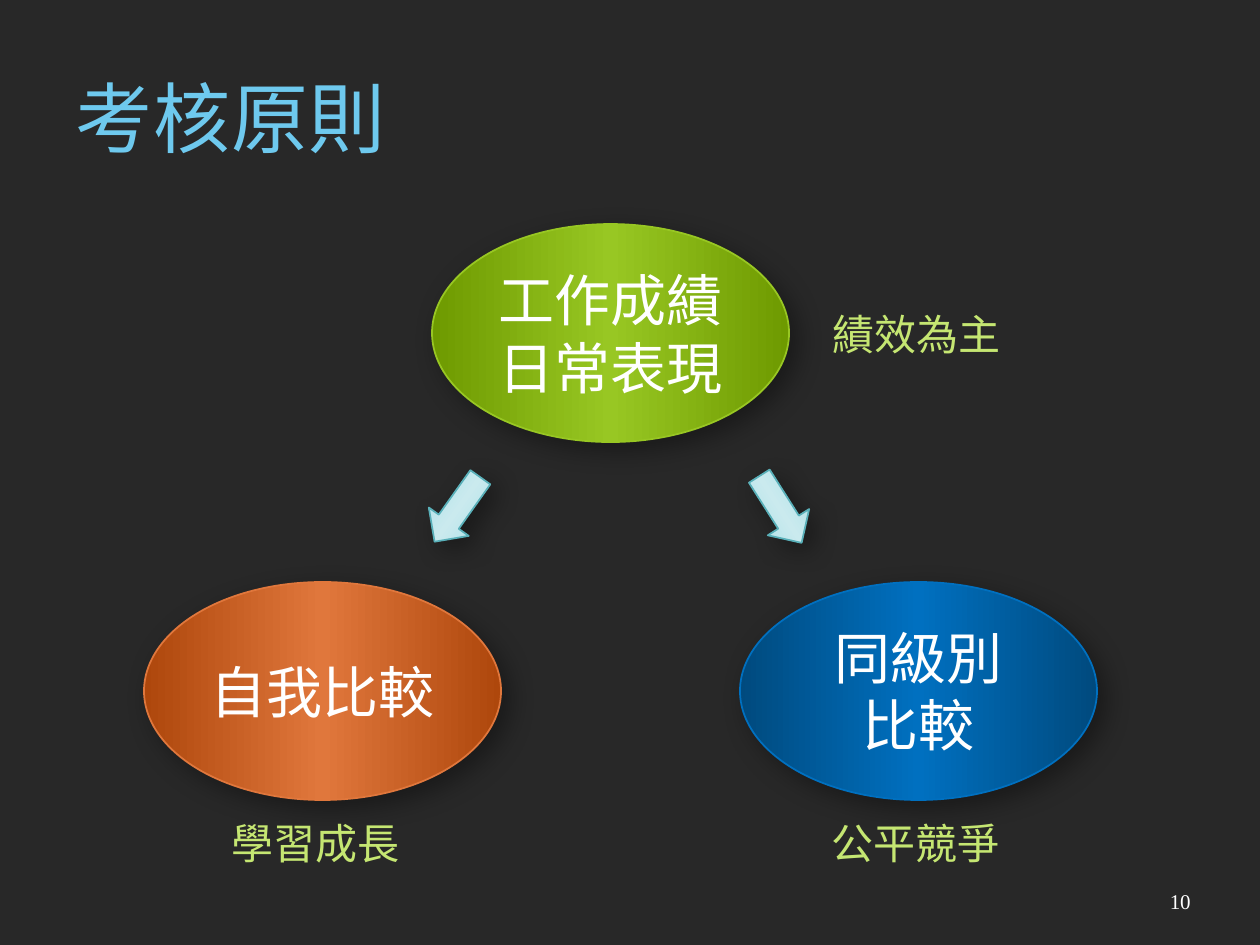
from copy import deepcopy
from dataclasses import dataclass

from lxml import etree
from pptx import Presentation
from pptx import util as u
from pptx.dml.color import RGBColor
from pptx.enum import shapes, text
from pptx.oxml.ns import qn

EMU_PER_PX = 914400 / 126
CJK_FONT = "Noto Sans CJK SC"
NUMBER_FONT = "Times New Roman"
WHITE = "FFFFFF"
LABEL_GREEN = "C5E672"
OVAL_SIZE = (357, 218)
ARROW_SIZE = (49, 79)
LABEL_SIZE = (195, 63)
ARROW_TOP = 470
LOWER_OVAL_TOP = 582
LOWER_LABEL_TOP = 811


@dataclass
class Oval:
    left: int
    top: int
    lines: list[str]
    edge: str
    middle: str


@dataclass
class Arrow:
    left: int
    rotation: float


@dataclass
class Label:
    left: int
    top: int
    wording: str


OVALS = [
    Oval(432, 224, ["工作成績日常表現"], "6E9A00", "98C723"),
    Oval(144, LOWER_OVAL_TOP, ["自我比較"], "AE470C", "E0773C"),
    Oval(740, LOWER_OVAL_TOP, ["同級別", "比較"], "004A7E", "0070C0"),
]
ARROWS = [Arrow(433, 35.4), Arrow(756, 327.6)]
LABELS = [
    Label(219, LOWER_LABEL_TOP, "學習成長"),
    Label(819, LOWER_LABEL_TOP, "公平競爭"),
    Label(820, 302, "績效為主"),
]


def px(length: int) -> u.Emu:
    return u.Emu(round(length * EMU_PER_PX))


def color(value: str) -> RGBColor:
    return RGBColor.from_string(value)


def write(shape, lines: list[str], size: int, fill: str, align=text.PP_ALIGN.LEFT,
          font_name: str = CJK_FONT, spacing: int = 0) -> None:
    """Fill the shape with one paragraph per line; spacing is in 1/100 pt."""
    frame = shape.text_frame
    frame.text = "\n".join(lines)
    for paragraph in frame.paragraphs:
        paragraph.alignment = align
        font = paragraph.font
        font.name, font.size = font_name, u.Pt(size)
        font.color.rgb = color(fill)
        defaults = paragraph._p.pPr.find(qn("a:defRPr"))
        etree.SubElement(defaults, qn("a:ea"), typeface=font_name)
        if spacing:
            defaults.set("spc", str(spacing))


def add_text(slide, left: int, top: int, width: int, height: int):
    return slide.shapes.add_textbox(px(left), px(top), px(width), px(height))


def add_shadow(shape) -> None:
    shape.shadow.inherit = False
    effects = shape._element.spPr.find(qn("a:effectLst"))
    shadow = etree.SubElement(effects, qn("a:outerShdw"), blurRad=str(u.Pt(15)),
                              dist=str(u.Pt(6.2)), dir=str(45 * 60000),
                              algn="tl", rotWithShape="0")
    black = etree.SubElement(shadow, qn("a:srgbClr"), val="000000")
    etree.SubElement(black, qn("a:alpha"), val="36000")


def add_glossy_shape(slide, kind, left: int, top: int, size: tuple[int, int],
                     edge: str, middle: str, outline: str):
    """Add a shape shaded from edge to middle and back to edge."""
    shape = slide.shapes.add_shape(kind, px(left), px(top), *map(px, size))
    shape.fill.gradient()
    shape.fill.gradient_angle = 0
    stop_list = shape._element.spPr.find(qn("a:gradFill")).find(qn("a:gsLst"))
    stop_list.append(deepcopy(stop_list[0]))
    for stop, position, value in zip(shape.fill.gradient_stops, (0, 0.5, 1),
                                     (edge, middle, edge)):
        stop.position = position
        stop.color.rgb = color(value)
    shape.line.color.rgb = color(outline)
    shape.line.width = u.Pt(1)
    add_shadow(shape)
    return shape


def add_oval(slide, oval: Oval) -> None:
    shape = add_glossy_shape(slide, shapes.MSO_SHAPE.OVAL, oval.left, oval.top,
                             OVAL_SIZE, oval.edge, oval.middle, oval.middle)
    shape.text_frame.word_wrap = True
    shape.text_frame.vertical_anchor = text.MSO_ANCHOR.MIDDLE
    write(shape, oval.lines, 32, WHITE, text.PP_ALIGN.CENTER)


def add_arrow(slide, arrow: Arrow) -> None:
    shape = add_glossy_shape(slide, shapes.MSO_SHAPE.DOWN_ARROW, arrow.left,
                             ARROW_TOP, ARROW_SIZE, "9DDCE5", "CAEAEE", "59B0B9")
    shape.rotation = arrow.rotation


def add_label(slide, label: Label) -> None:
    box = add_text(slide, label.left, label.top, *LABEL_SIZE)
    box.text_frame.word_wrap = False
    box.text_frame.auto_size = text.MSO_AUTO_SIZE.SHAPE_TO_FIT_TEXT
    write(box, [label.wording], 24, LABEL_GREEN)


def add_title(slide) -> None:
    title = add_text(slide, 63, 38, 1071, 157)
    title.text_frame.word_wrap = True
    title.text_frame.vertical_anchor = text.MSO_ANCHOR.MIDDLE
    write(title, ["考核原則"], 44, "6EC9EE", spacing=50)


def add_page_number(slide) -> None:
    box = add_text(slide, 903, 876, 294, 50)
    frame = box.text_frame
    frame.word_wrap = True
    frame.vertical_anchor = text.MSO_ANCHOR.MIDDLE
    frame.margin_left = frame.margin_right = u.Inches(0.05)
    write(box, ["10"], 12, WHITE, text.PP_ALIGN.RIGHT, NUMBER_FONT)


def main() -> None:
    presentation = Presentation()
    presentation.slide_width, presentation.slide_height = px(1260), px(945)
    slide = presentation.slides.add_slide(presentation.slide_layouts[6])
    slide.background.fill.solid()
    slide.background.fill.fore_color.rgb = color("282828")

    add_title(slide)
    add_page_number(slide)
    for oval in OVALS:
        add_oval(slide, oval)
    for arrow in ARROWS:
        add_arrow(slide, arrow)
    for label in LABELS:
        add_label(slide, label)
    presentation.save("out.pptx")


if __name__ == "__main__":
    main()
